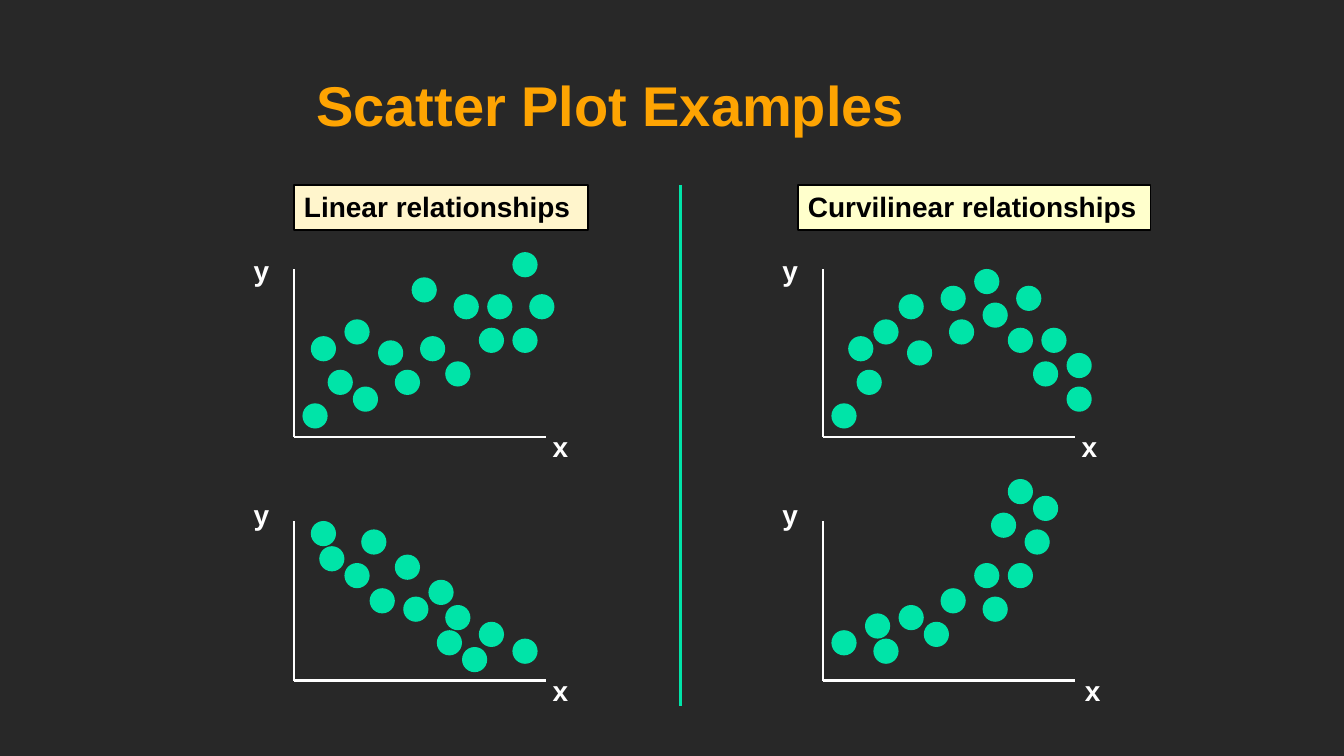
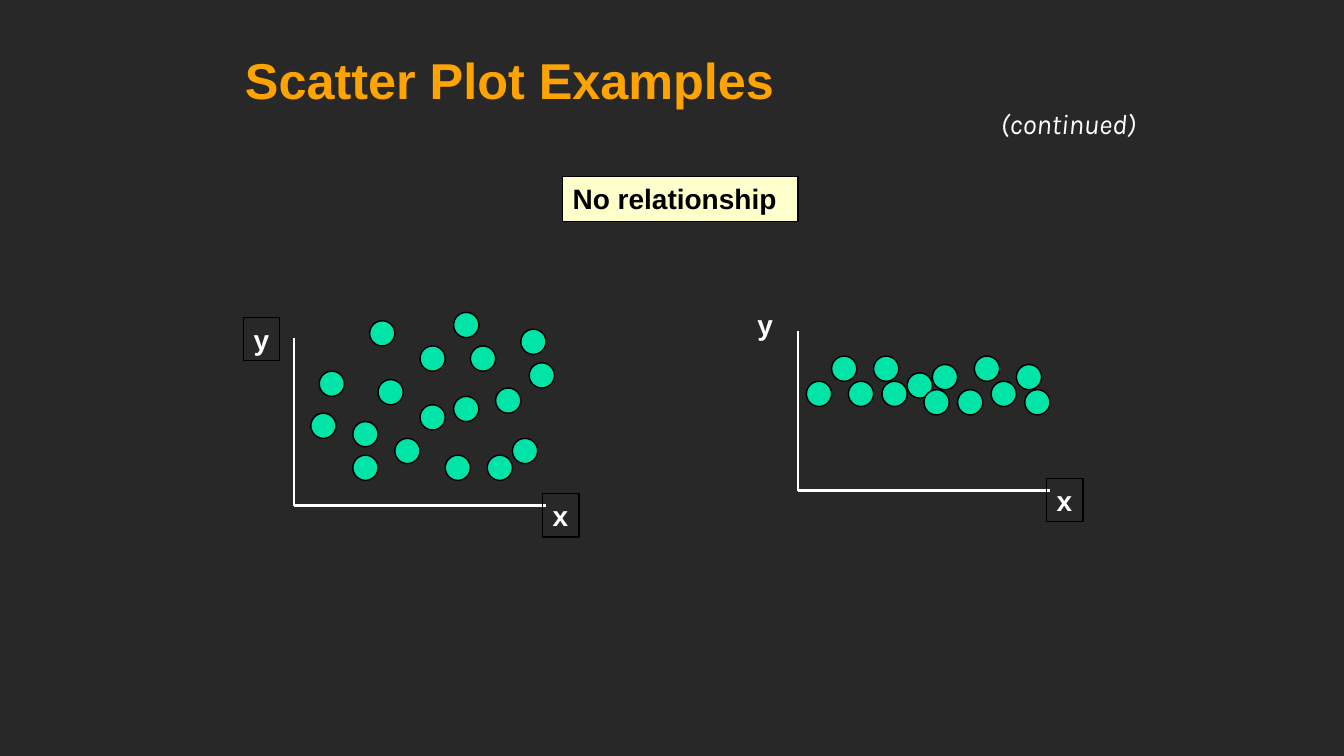
import dataclasses

import pptx
import pptx.dml.color
import pptx.enum.shapes
import pptx.enum.text
import pptx.oxml
import pptx.util
from pptx.util import Cm


def rgb(value):
    return pptx.dml.color.RGBColor.from_string(value)


@dataclasses.dataclass(frozen=True)
class Theme:
    background = rgb("282828")
    title = rgb("FEA402")
    accent = rgb("00E4A8")
    light = rgb("FFFFFF")
    dark = rgb("000000")
    cream = rgb("FFF5CC")
    yellow = rgb("FFFFCC")
    font: str = "Arial"
    note_font: str = "Karla"
    text_size: int = 20
    axis_width: float = 2
    divider_width: float = 2.25
    outline_width: float = 1


THEME = Theme()
STEP = 2.54 / 12  # plot grid in centimetres
AXIS_STEPS = 30
DOT_STEPS = 3
LABEL_SIZE = (0.91, 1.09)


@dataclasses.dataclass(frozen=True)
class Plot:
    """Origin in centimetres; dots as grid steps right of and above it."""
    left: float
    bottom: float
    height_steps: int
    dots: tuple
    outlined_dots: bool = False
    boxed_labels: str = ""
    x_label_offset: float = 6.27


RISING = Plot(7.41, 11.01, 20, (
    (1, 4), (4, 8), (26, 22), (28, 17), (7, 6), (23, 17), (18, 9), (19, 17),
    (14, 19), (2, 12), (6, 14), (10, 11.5), (22, 13), (15, 12), (12, 8), (26, 13)))
FALLING = Plot(7.41, 17.15, 19, (
    (20, 4), (3, 16), (26, 5), (8, 18), (18, 9), (22, 7), (12, 15),
    (2, 19), (6, 14), (9, 11), (17, 6), (16, 12), (13, 10)))
ARCHED = Plot(20.74, 11.01, 20, (
    (1, 4), (4, 8), (29, 10), (23, 18), (9, 17), (29, 6), (25, 9), (19, 16),
    (14, 18), (3, 12), (6, 14), (10, 11.5), (22, 13), (15, 14), (18, 20), (26, 13)))
ACCELERATING = Plot(20.74, 17.15, 19, (
    (1, 6), (5, 8), (25, 22), (24, 18), (6, 5), (20, 20), (19, 10),
    (18, 14), (22, 24), (9, 9), (22, 14), (14, 11), (12, 7)), x_label_offset=6.35)
SCATTERED = Plot(7.41, 12.74, 20, (
    (19, 23), (2, 11), (26, 8), (28, 17), (7, 6), (9, 22), (19, 13), (21, 19),
    (27, 21), (15, 19), (7, 10), (10, 15), (23, 6), (15, 12), (12, 8), (3, 16),
    (18, 6), (24, 14)), outlined_dots=True, boxed_labels="xy")
FLAT = Plot(20.11, 12.36, 19, (
    (27, 12), (6, 13), (26, 15), (9, 16), (21, 16), (23, 13), (13, 14),
    (1, 13), (4, 16), (10, 13), (19, 12), (16, 15), (15, 12)),
    outlined_dots=True, boxed_labels="x")


def style_text(shape, text, color, size=THEME.text_size, font=THEME.font,
               bold=True, italic=False, anchor=pptx.enum.text.MSO_ANCHOR.TOP):
    text_frame = shape.text_frame
    text_frame.text = text
    text_frame.word_wrap = True
    text_frame.auto_size = pptx.enum.text.MSO_AUTO_SIZE.NONE
    text_frame.vertical_anchor = anchor
    paragraph = text_frame.paragraphs[0]
    paragraph.alignment = pptx.enum.text.PP_ALIGN.LEFT
    run_font = paragraph.runs[0].font
    run_font.name = font
    run_font.size = pptx.util.Pt(size)
    run_font.bold = bold
    run_font.italic = italic
    run_font.color.rgb = color


def add_slide(presentation, title, size, box):
    slide = presentation.slides.add_slide(presentation.slide_layouts.get_by_name("Title Only"))
    shape = slide.shapes.title
    shape.left, shape.top, shape.width, shape.height = map(Cm, box)
    style_text(shape, title, THEME.title, size, anchor=pptx.enum.text.MSO_ANCHOR.BOTTOM)
    return slide


def add_filled_shape(slide, kind, box, fill, outlined=True):
    shape = slide.shapes.add_shape(kind, *map(Cm, box))
    shape.shadow.inherit = False
    if fill is None:
        shape.fill.background()
    else:
        shape.fill.solid()
        shape.fill.fore_color.rgb = fill
    if outlined:
        shape.line.color.rgb = THEME.dark
        shape.line.width = pptx.util.Pt(THEME.outline_width)
    else:
        shape.line.fill.background()
    return shape


def add_box(slide, text, box, fill, color):
    shape = add_filled_shape(slide, pptx.enum.shapes.MSO_SHAPE.RECTANGLE, box, fill)
    style_text(shape, text, color)


def add_text(slide, text, box, **style):
    style_text(slide.shapes.add_textbox(*map(Cm, box)), text, THEME.light, **style)


def add_line(slide, start, end, color, width):
    line = slide.shapes.add_connector(
        pptx.enum.shapes.MSO_CONNECTOR.STRAIGHT, *map(Cm, start + end))
    line.line.color.rgb = color
    line.line.width = pptx.util.Pt(width)
    effects = pptx.oxml.parse_xml(
        '<a:effectLst xmlns:a="http://schemas.openxmlformats.org/drawingml/2006/main"/>')
    line._element.spPr.append(effects)


def add_plot(slide, plot):
    origin = (plot.left, plot.bottom)
    axis_ends = ((plot.left, plot.bottom - plot.height_steps * STEP),
                 (plot.left + AXIS_STEPS * STEP, plot.bottom))
    for end in axis_ends:
        add_line(slide, origin, end, THEME.light, THEME.axis_width)
    diameter = DOT_STEPS * STEP
    for column, row in plot.dots:
        box = (plot.left + column * STEP, plot.bottom - row * STEP, diameter, diameter)
        add_filled_shape(slide, pptx.enum.shapes.MSO_SHAPE.OVAL, box, THEME.accent,
                         plot.outlined_dots)
    label_places = {"y": (plot.left - 1.27, plot.bottom - 4.74),
                    "x": (plot.left + plot.x_label_offset, plot.bottom - 0.3)}
    for label, place in label_places.items():
        if label in plot.boxed_labels:
            add_box(slide, label, place + LABEL_SIZE, None, THEME.light)
        else:
            add_text(slide, label, place + LABEL_SIZE)


def add_relationships_slide(presentation):
    slide = add_slide(presentation, "Scatter Plot Examples", 40, (7.72, 1.5, 21.64, 2.11))
    for plot in (FALLING, RISING, ACCELERATING, ARCHED):
        add_plot(slide, plot)
    add_box(slide, "Linear relationships", (7.41, 4.66, 7.41, 1.14), THEME.cream, THEME.dark)
    add_box(slide, "Curvilinear relationships", (20.11, 4.66, 8.89, 1.14),
            THEME.yellow, THEME.dark)
    add_line(slide, (17.15, 4.66), (17.15, 17.78), THEME.accent, THEME.divider_width)


def add_no_relationship_slide(presentation):
    slide = add_slide(presentation, "Scatter Plot Examples", 36, (5.92, 0.64, 22.02, 2.24))
    for plot in (FLAT, SCATTERED):
        add_plot(slide, plot)
    add_box(slide, "No relationship", (14.18, 4.45, 5.93, 1.14), THEME.yellow, THEME.dark)
    add_text(slide, "(continued)", (24.97, 2.57, 4.09, 1.09),
             font=THEME.note_font, bold=False, italic=True)


def main():
    presentation = pptx.Presentation()
    presentation.slide_width = Cm(33.87)
    presentation.slide_height = Cm(19.05)
    background = presentation.slide_master.background.fill
    background.solid()
    background.fore_color.rgb = THEME.background
    add_relationships_slide(presentation)
    add_no_relationship_slide(presentation)
    presentation.save("out.pptx")


if __name__ == "__main__":
    main()
